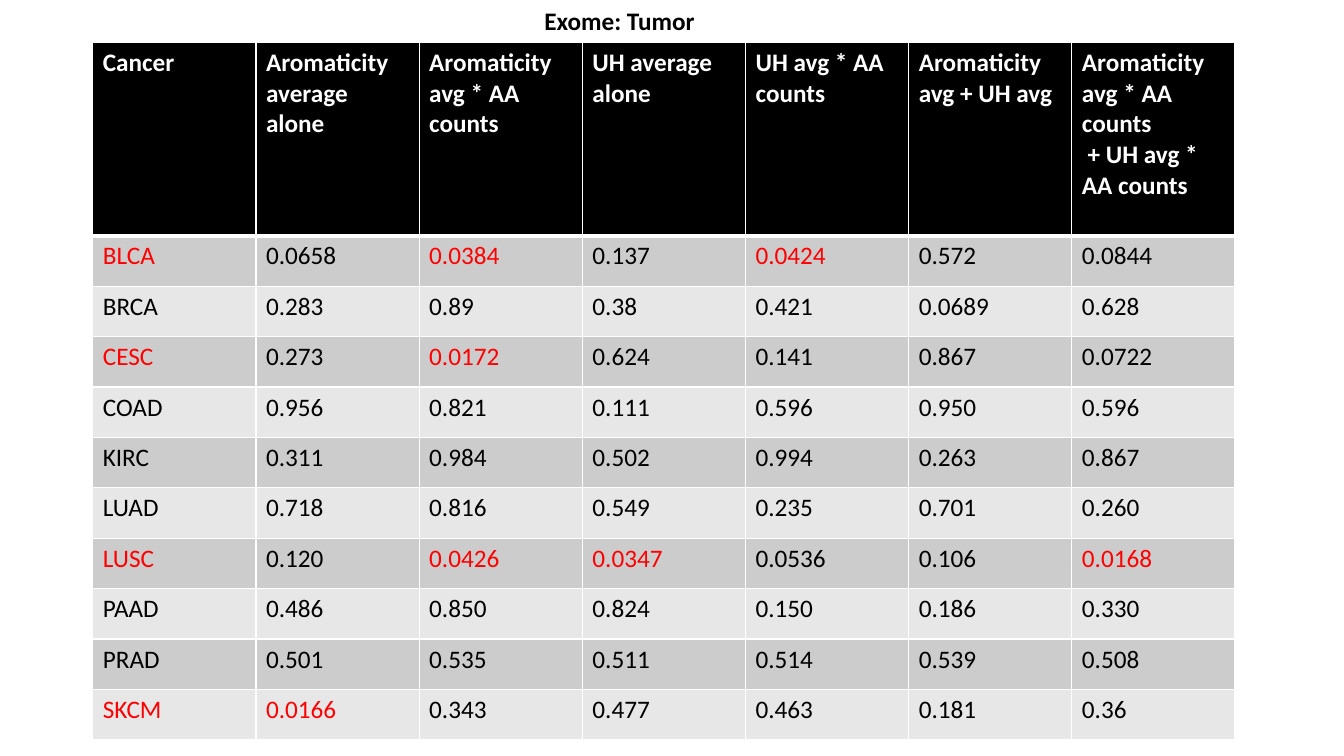
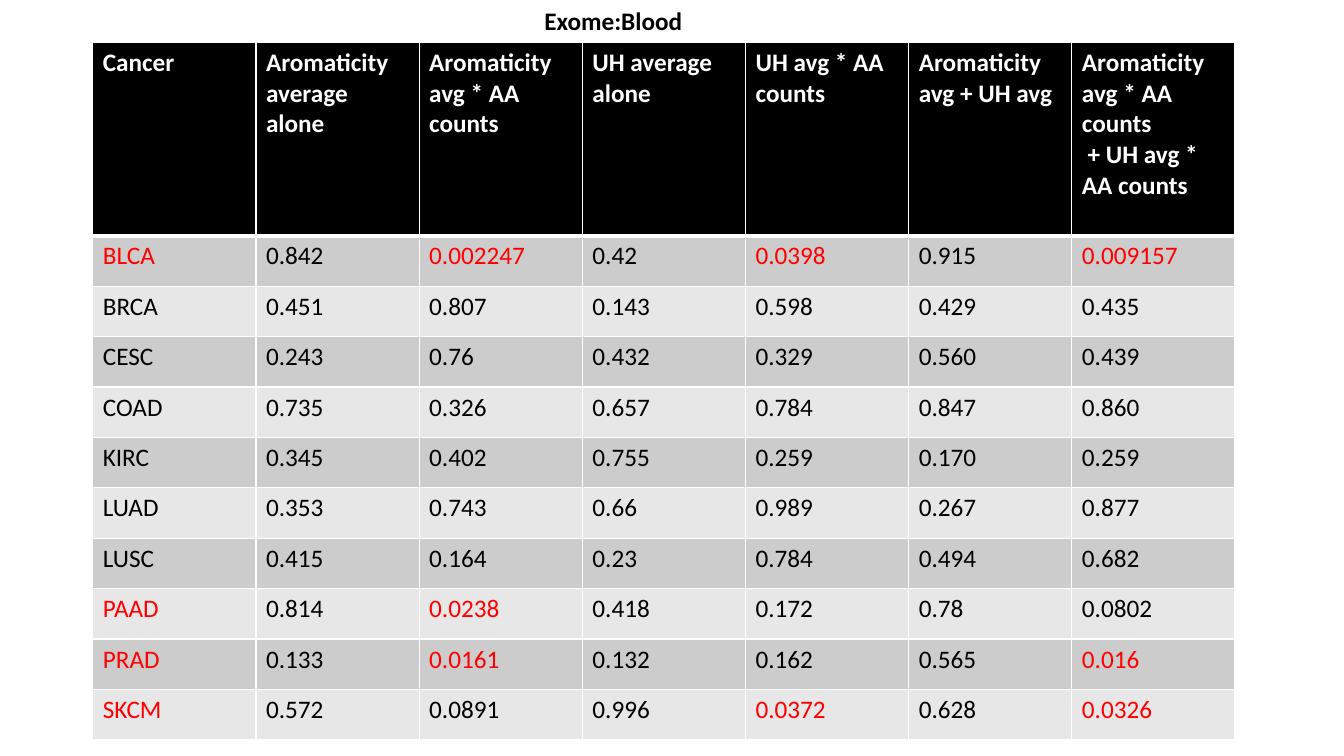
from lxml import etree
from pptx import Presentation
from pptx import util as u
from pptx.dml.color import RGBColor
from pptx.enum import text
from pptx.oxml import ns

# Shared look
BLACK = RGBColor(0x00, 0x00, 0x00)
WHITE = RGBColor(0xFF, 0xFF, 0xFF)
RED = RGBColor(0xFF, 0x00, 0x00)
BANDS = (RGBColor(0xCC, 0xCC, 0xCC), RGBColor(0xE7, 0xE7, 0xE7))
BASE_FONT = {"name": "Calibri", "size": u.Pt(18)}
SIGNIFICANT = 0.05  # smaller values, and the names of their rows, are red

# Layout in inches
SLIDE_WIDTH, SLIDE_HEIGHT = 13.33, 7.5
TABLE_LEFT, TABLE_TOP, TABLE_WIDTH = 0.92, 0.42, 11.33
HEADER_HEIGHT, ROW_HEIGHT = 1.92, 0.5
TITLE_LEFT, TITLE_HEIGHT = 5.3, 0.4
THIN, THICK = 1, 3  # border widths in points

# Content
HEADERS = [
    "Cancer",
    "Aromaticity average alone",
    "Aromaticity avg * AA counts",
    "UH average alone",
    "UH avg * AA counts",
    "Aromaticity avg + UH avg",
    "Aromaticity avg * AA counts\n + UH avg * AA counts",
]
CANCERS = ["BLCA", "BRCA", "CESC", "COAD", "KIRC",
           "LUAD", "LUSC", "PAAD", "PRAD", "SKCM"]
SLIDES = [
    {
        "title": "Exome: Tumor",
        "title_width": 1.7,
        "values": [
            ("0.0658", "0.0384", "0.137", "0.0424", "0.572", "0.0844"),
            ("0.283", "0.89", "0.38", "0.421", "0.0689", "0.628"),
            ("0.273", "0.0172", "0.624", "0.141", "0.867", "0.0722"),
            ("0.956", "0.821", "0.111", "0.596", "0.950", "0.596"),
            ("0.311", "0.984", "0.502", "0.994", "0.263", "0.867"),
            ("0.718", "0.816", "0.549", "0.235", "0.701", "0.260"),
            ("0.120", "0.0426", "0.0347", "0.0536", "0.106", "0.0168"),
            ("0.486", "0.850", "0.824", "0.150", "0.186", "0.330"),
            ("0.501", "0.535", "0.511", "0.514", "0.539", "0.508"),
            ("0.0166", "0.343", "0.477", "0.463", "0.181", "0.36"),
        ],
    },
    {
        "title": "Exome:Blood",
        "title_width": 1.58,
        "values": [
            ("0.842", "0.002247", "0.42", "0.0398", "0.915", "0.009157"),
            ("0.451", "0.807", "0.143", "0.598", "0.429", "0.435"),
            ("0.243", "0.76", "0.432", "0.329", "0.560", "0.439"),
            ("0.735", "0.326", "0.657", "0.784", "0.847", "0.860"),
            ("0.345", "0.402", "0.755", "0.259", "0.170", "0.259"),
            ("0.353", "0.743", "0.66", "0.989", "0.267", "0.877"),
            ("0.415", "0.164", "0.23", "0.784", "0.494", "0.682"),
            ("0.814", "0.0238", "0.418", "0.172", "0.78", "0.0802"),
            ("0.133", "0.0161", "0.132", "0.162", "0.565", "0.016"),
            ("0.572", "0.0891", "0.996", "0.0372", "0.628", "0.0326"),
        ],
    },
]


def write(frame, words, color, bold):
    """Fill a text frame, one paragraph per line."""
    frame.text = words
    for paragraph in frame.paragraphs:
        for run in paragraph.runs:
            for name, value in {**BASE_FONT, "bold": bold}.items():
                setattr(run.font, name, value)
            run.font.color.rgb = color


def set_borders(cell, top, bottom):
    """Draw white cell borders; lines come before the fill in the XML."""
    properties = cell._tc.get_or_add_tcPr()
    widths = {"a:lnL": THIN, "a:lnR": THIN, "a:lnT": top, "a:lnB": bottom}
    for position, (tag, width) in enumerate(widths.items()):
        line = etree.Element(ns.qn(tag), w=str(u.Pt(width)))
        fill = etree.SubElement(line, ns.qn("a:solidFill"))
        etree.SubElement(fill, ns.qn("a:srgbClr"), val=str(WHITE))
        properties.insert(position, line)


def format_cell(cell, words, color, background, bold=False, top=THIN, bottom=THIN):
    write(cell.text_frame, words, color, bold)
    cell.fill.solid()
    cell.fill.fore_color.rgb = background
    set_borders(cell, top, bottom)


def add_results(slide, values):
    """Header row, then one banded row per cancer."""
    height = HEADER_HEIGHT + ROW_HEIGHT * len(CANCERS)
    table = slide.shapes.add_table(
        len(CANCERS) + 1, len(HEADERS),
        *map(u.Inches, (TABLE_LEFT, TABLE_TOP, TABLE_WIDTH, height))).table
    for column in table.columns:
        column.width = u.Inches(TABLE_WIDTH / len(HEADERS))
    for index, row in enumerate(table.rows):
        row.height = u.Inches(ROW_HEIGHT if index else HEADER_HEIGHT)

    for column, header in enumerate(HEADERS):
        format_cell(table.cell(0, column), header, WHITE, BLACK,
                    bold=True, bottom=THICK)
    for row, (cancer, numbers) in enumerate(zip(CANCERS, values)):
        marks = [float(number) < SIGNIFICANT for number in numbers]
        entries = zip((cancer, *numbers), (any(marks), *marks))
        for column, (words, marked) in enumerate(entries):
            format_cell(table.cell(row + 1, column), words,
                        RED if marked else BLACK, BANDS[row % 2],
                        top=THIN if row else THICK)


def add_title(slide, words, width):
    box = slide.shapes.add_textbox(
        *map(u.Inches, (TITLE_LEFT, 0, width, TITLE_HEIGHT)))
    box.text_frame.word_wrap = False
    box.text_frame.auto_size = text.MSO_AUTO_SIZE.SHAPE_TO_FIT_TEXT
    write(box.text_frame, words, BLACK, bold=True)


def main():
    presentation = Presentation()
    presentation.slide_width = u.Inches(SLIDE_WIDTH)
    presentation.slide_height = u.Inches(SLIDE_HEIGHT)
    for content in SLIDES:
        slide = presentation.slides.add_slide(presentation.slide_layouts[6])
        add_results(slide, content["values"])
        add_title(slide, content["title"], content["title_width"])
    presentation.save("out.pptx")


if __name__ == "__main__":
    main()
